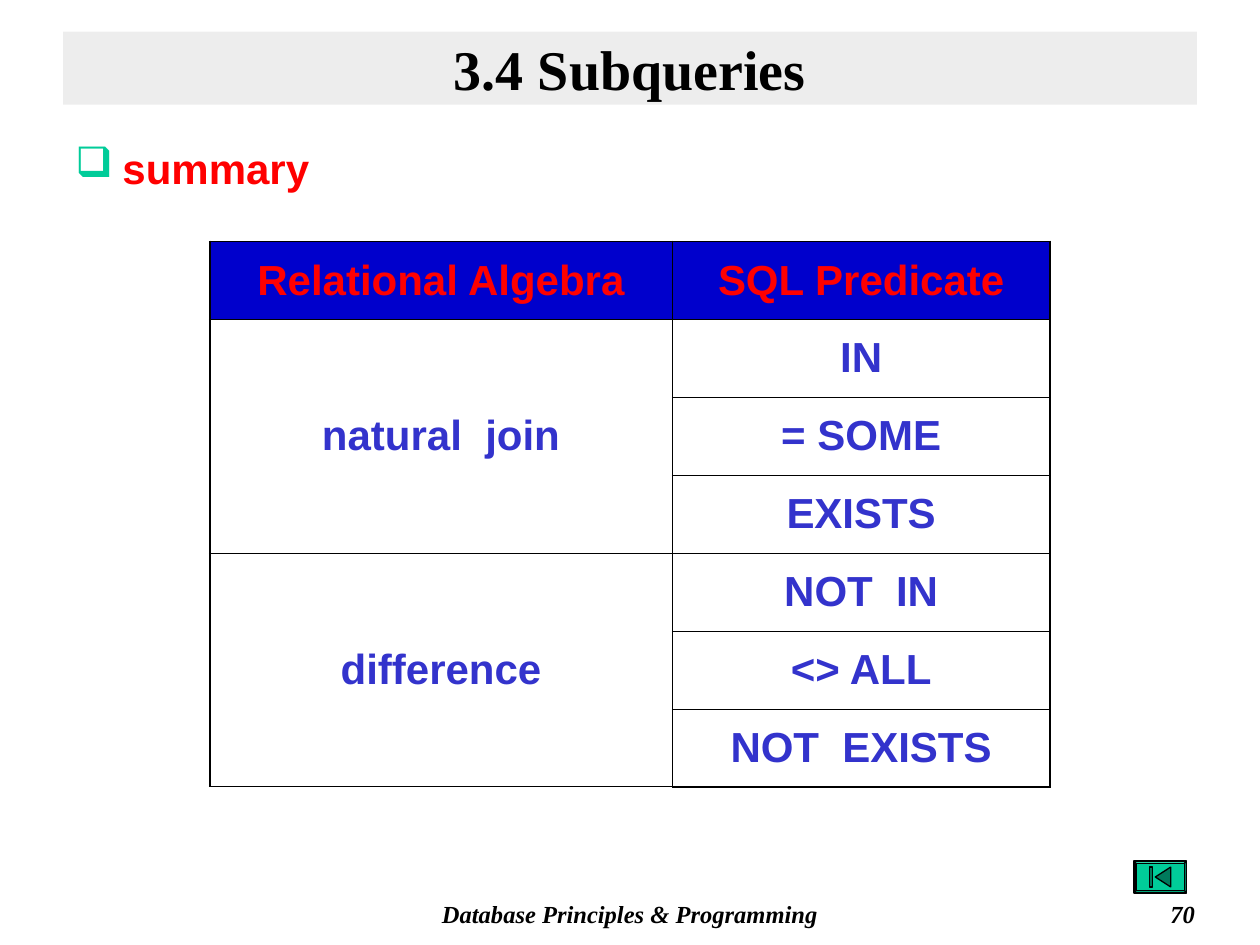
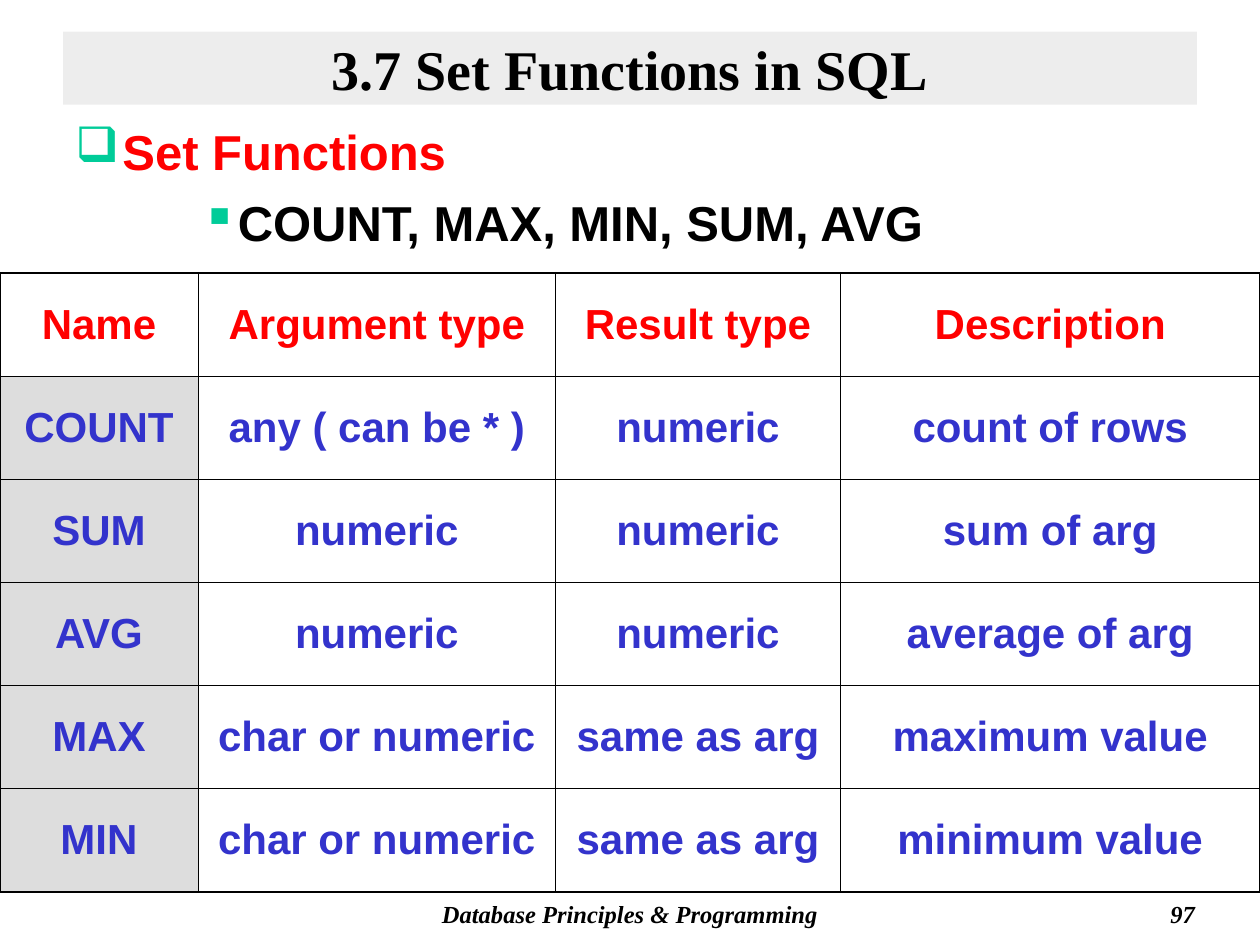
import pptx
import pptx.util
import pptx.dml.color
import pptx.enum.shapes
import pptx.enum.text
import pptx.oxml
from lxml import etree
from pptx.util import Cm, Pt

RGBColor = pptx.dml.color.RGBColor
PP_ALIGN = pptx.enum.text.PP_ALIGN
MSO_ANCHOR = pptx.enum.text.MSO_ANCHOR
MSO_SHAPE = pptx.enum.shapes.MSO_SHAPE

BLACK = RGBColor(0x00, 0x00, 0x00)
WHITE = RGBColor(0xFF, 0xFF, 0xFF)
GREY = RGBColor(0xDD, 0xDD, 0xDD)
RED = RGBColor(0xFF, 0x00, 0x00)
NAVY = RGBColor(0x00, 0x00, 0xCC)
BLUE = RGBColor(0x33, 0x33, 0xCC)
GREEN = RGBColor(0x00, 0xCC, 0x99)
DARK_GREEN = RGBColor(0x00, 0x7A, 0x5C)
SERIF, SANS = "Times New Roman", "Arial"
THIN, THICK = Pt(0.45), Pt(1.08)

SLIDES = [
    {
        "title": "3.4 Subqueries",
        "number": "70",
        "body_top": 2.75,
        "body_height": 1.47,
        "body_size": 24,
        "bullets": [("summary", "❑", RED, 0.95, 0.95)],
        "table_left": 4.23,
        "table_top": 4.87,
        "columns": [9.32, 7.62],
        "row_height": 1.57,
        "header_fill": NAVY,
        "name_fill": None,
        "merges": [(1, 3), (4, 6)],
        "rows": [
            ["Relational Algebra", "SQL Predicate"],
            ["natural  join", "IN"],
            ["", "= SOME"],
            ["", "EXISTS"],
            ["difference", "NOT  IN"],
            ["", "<> ALL"],
            ["", "NOT  EXISTS"],
        ],
    },
    {
        "title": "3.7 Set Functions in SQL",
        "number": "97",
        "body_top": 2.33,
        "body_height": 3.1,
        "body_size": 28,
        "bullets": [
            ("Set Functions", "❑", RED, 0.95, 0.95),
            ("COUNT, MAX, MIN, SUM, AVG", "▪", BLACK, 3.18, 0.64),
        ],
        "table_left": 0,
        "table_top": 5.5,
        "columns": [3.99, 7.21, 5.74, 8.46],
        "row_height": 2.08,
        "header_fill": WHITE,
        "name_fill": GREY,
        "merges": [],
        "rows": [
            ["Name", "Argument type", "Result type", "Description"],
            ["COUNT", "any ( can be * )", "numeric", "count of rows"],
            ["SUM", "numeric", "numeric", "sum of arg"],
            ["AVG", "numeric", "numeric", "average of arg"],
            ["MAX", "char or numeric", "same as arg", "maximum value"],
            ["MIN", "char or numeric", "same as arg", "minimum value"],
        ],
    },
]


def style(para, name, size, color, align=PP_ALIGN.LEFT, italic=False):
    para.alignment = align
    para.font.name = name
    para.font.size = Pt(size)
    para.font.bold = True
    para.font.italic = italic
    para.font.color.rgb = color


def add_child(parent, tag, **attributes):
    """Append a DrawingML element and return it."""
    return etree.SubElement(parent, pptx.oxml.ns.qn(tag), **attributes)


deck = pptx.Presentation()
deck.slide_width, deck.slide_height = Cm(25.4), Cm(19.05)

for content in SLIDES:
    page = deck.slides.add_slide(deck.slide_layouts[5])

    # Title band
    title = page.shapes.title
    title.left, title.top, title.width, title.height = Cm(1.27), Cm(0.64), Cm(22.86), Cm(1.47)
    title.fill.solid()
    title.fill.fore_color.rgb = GREY
    band_color = title.fill._xPr.find(".//" + pptx.oxml.ns.qn("a:srgbClr"))
    add_child(band_color, "a:alpha", val="50000")
    title.text_frame.text = content["title"]
    title.text_frame.auto_size = pptx.enum.text.MSO_AUTO_SIZE.NONE
    title.text_frame.vertical_anchor = MSO_ANCHOR.MIDDLE
    style(title.text_frame.paragraphs[0], SERIF, 32, BLACK, PP_ALIGN.CENTER)

    # Bulleted heading
    body = page.shapes.add_textbox(
        Cm(1.27), Cm(content["body_top"]), Cm(22.86), Cm(content["body_height"])
    )
    body.text_frame.word_wrap = True
    for index, (text, mark, color, indent, hang) in enumerate(content["bullets"]):
        para = body.text_frame.paragraphs[0] if index == 0 else body.text_frame.add_paragraph()
        para.text = text
        properties = para._p.get_or_add_pPr()
        properties.set("marL", str(Cm(indent)))
        properties.set("indent", str(-Cm(hang)))
        bullet_color = add_child(properties, "a:buClr")
        add_child(bullet_color, "a:srgbClr", val=str(GREEN))
        add_child(properties, "a:buChar", char=mark)
        if index > 0:
            para.space_before = Pt(7)
        style(para, SANS, content["body_size"], color)

    # Table
    rows, columns = content["rows"], content["columns"]
    table = page.shapes.add_table(
        len(rows), len(columns), Cm(content["table_left"]), Cm(content["table_top"]),
        Cm(sum(columns)), Cm(content["row_height"] * len(rows)),
    ).table
    table.first_row = table.horz_banding = False
    for column, width in zip(table.columns, columns):
        column.width = Cm(width)
    for row_index, texts in enumerate(rows):
        table.rows[row_index].height = Cm(content["row_height"])
        for column_index, text in enumerate(texts):
            cell = table.cell(row_index, column_index)
            cell.text = text
            cell.vertical_anchor = MSO_ANCHOR.MIDDLE
            style(cell.text_frame.paragraphs[0], SANS, 24,
                  RED if row_index == 0 else BLUE, PP_ALIGN.CENTER)
            outer_sides = {
                "a:lnL": column_index == 0,
                "a:lnR": column_index == len(columns) - 1,
                "a:lnT": row_index == 0,
                "a:lnB": row_index == len(rows) - 1,
            }
            for side, is_outer in outer_sides.items():
                border = add_child(cell._tc.get_or_add_tcPr(), side,
                                   w=str(THICK if is_outer else THIN))
                border_fill = add_child(border, "a:solidFill")
                add_child(border_fill, "a:srgbClr", val=str(BLACK))
            fill_color = None
            if row_index == 0:
                fill_color = content["header_fill"]
            elif column_index == 0:
                fill_color = content["name_fill"]
            if fill_color is None:
                cell.fill.background()
            else:
                cell.fill.solid()
                cell.fill.fore_color.rgb = fill_color
    for first, last in content["merges"]:
        table.cell(first, 0).merge(table.cell(last, 0))

    # Footer and slide number
    for text, left, width, align in [
        ("Database Principles & Programming", 7.2, 11, PP_ALIGN.CENTER),
        (content["number"], 19.05, 5.29, PP_ALIGN.RIGHT),
    ]:
        box = page.shapes.add_textbox(Cm(left), Cm(17.99), Cm(width), Cm(0.85))
        box.text_frame.word_wrap = True
        box.text_frame.text = text
        style(box.text_frame.paragraphs[0], SERIF, 14, BLACK, align, italic=True)

# Return button on the first slide
page = deck.slides[0]
button = page.shapes.add_shape(MSO_SHAPE.BEVEL, Cm(22.86), Cm(17.36), Cm(1.06), Cm(0.64))
button.adjustments[0] = 0.07
outline = page.shapes.build_freeform(Cm(23.29), Cm(17.68), scale=1.0)
outline.add_line_segments([(Cm(23.6), Cm(17.48)), (Cm(23.6), Cm(17.88))])
outline.move_to(Cm(23.18), Cm(17.48))
outline.add_line_segments([(Cm(23.23), Cm(17.48)), (Cm(23.23), Cm(17.88)), (Cm(23.18), Cm(17.88))])
arrow = outline.convert_to_shape()
for shape, color in [(button, GREEN), (arrow, DARK_GREEN)]:
    shape.shadow.inherit = False
    shape.fill.solid()
    shape.fill.fore_color.rgb = color
    shape.line.color.rgb = BLACK
    shape.line.width = Pt(0.75)

deck.save("out.pptx")
